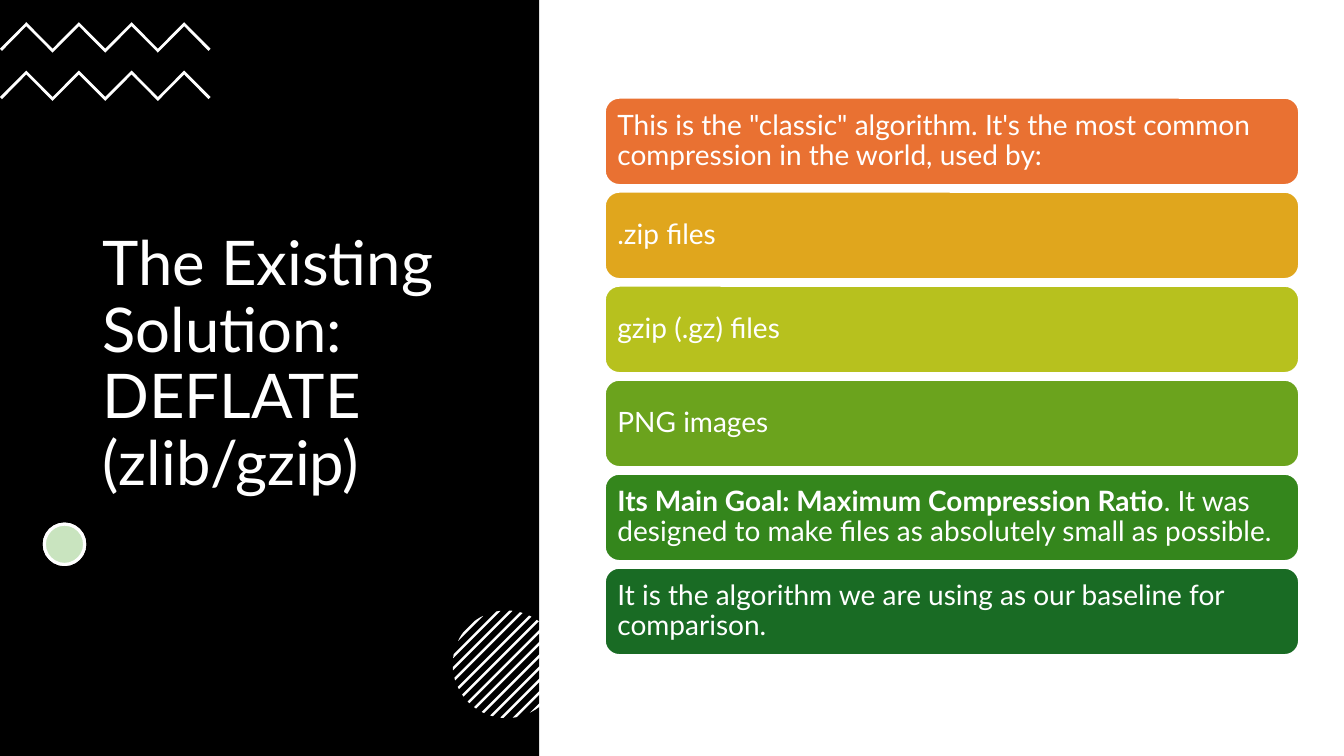
"""Build the slide on DEFLATE with a dark title panel and six cards."""
import math
import lxml.etree
import pptx
import pptx.util
import pptx.dml.color
import pptx.enum.shapes
import pptx.enum.text
import pptx.oxml.ns

Pt = pptx.util.Pt
KIND = pptx.enum.shapes.MSO_SHAPE
WHITE = "FFFFFF"


def paint(shape, fill, line=None, width=0):
    shape.shadow.inherit = False
    shape.fill.solid()
    shape.fill.fore_color.rgb = pptx.dml.color.RGBColor.from_string(fill)
    if line:
        shape.line.color.rgb = pptx.dml.color.RGBColor.from_string(line)
        shape.line.width = Pt(width)
    else:
        shape.line.fill.background()


def write(shape, parts, size):
    frame = shape.text_frame
    frame.word_wrap = True
    frame.vertical_anchor = pptx.enum.text.MSO_ANCHOR.MIDDLE
    para = frame.paragraphs[0]
    para.alignment = pptx.enum.text.PP_ALIGN.LEFT
    para.line_spacing = 0.9
    for text, bold in parts:
        run = para.add_run()
        run.text = text
        run.font.name = "Lato"
        run.font.size = Pt(size)
        run.font.bold = bold
        run.font.color.rgb = pptx.dml.color.RGBColor.from_string(WHITE)


deck = pptx.Presentation()
deck.slide_width, deck.slide_height = Pt(960), Pt(540)
slide = deck.slides.add_slide(deck.slide_layouts[6])
shapes = slide.shapes

panel = shapes.add_shape(KIND.RECTANGLE, 0, 0, Pt(385.2), Pt(540))
paint(panel, "000000")
title = shapes.add_textbox(Pt(66.2), Pt(94.3), Pt(252), Pt(333.4))
write(title, [("The Existing Solution: DEFLATE (zlib/gzip)", False)], 44)

outlines = []
for top in (15.9, 50.4):
    upper = [(18.8 * i, top + (0 if i % 2 else 18.9)) for i in range(9)]
    lower = [(x, y + 2.8) for x, y in upper[1:-1]]
    ends = [(1.4, top + 20.5), (149, top + 20.5)]
    outlines.append(upper + ends[1:] + lower[::-1] + ends[:1])

mid_x, mid_y, radius = 361.8, 474.5, 38.4
for i in range(-6, 7):
    side, back = [], []
    for step in range(5):
        shift = 8.75 * i - 1.25 + 0.625 * step
        angle = math.acos(shift / (math.sqrt(2) * radius))
        for edge, turn in ((side, angle), (back, -angle)):
            turn += math.pi / 4
            edge.append((mid_x + radius * math.cos(turn),
                         mid_y + radius * math.sin(turn)))
    outlines.append(side + back[::-1])

for points in outlines:
    spots = [(Pt(x), Pt(y)) for x, y in points]
    pen = shapes.build_freeform(*spots[0], scale=1.0)
    pen.add_line_segments(spots[1:], close=True)
    paint(pen.convert_to_shape(), WHITE)

for color in (WHITE, "4EA72E"):
    dot = shapes.add_shape(KIND.OVAL, Pt(31.7), Pt(374.4), Pt(28.8), Pt(28.8))
    paint(dot, color, WHITE, 2.25)
tint = dot.element.spPr.find(pptx.oxml.ns.qn("a:solidFill"))[0]
alpha = lxml.etree.SubElement(tint, pptx.oxml.ns.qn("a:alpha"))
alpha.set("val", "30000")

cards = [
    ("E97132", [("This is the \"classic\" algorithm. It's the most common "
                 "compression in the world, used by:", False)]),
    ("E0A61D", [(".zip files", False)]),
    ("B7C11E", [("gzip (.gz) files", False)]),
    ("6BA31D", [("PNG images", False)]),
    ("34861C", [("Its Main Goal: Maximum Compression Ratio", True),
                (". It was designed to make files as absolutely small "
                 "as possible.", False)]),
    ("196B24", [("It is the algorithm we are using as our baseline for "
                 "comparison.", False)]),
]
for row, (color, parts) in enumerate(cards):
    card = shapes.add_shape(KIND.ROUNDED_RECTANGLE, Pt(432), Pt(69.8 + 67.15 * row),
                            Pt(496), Pt(62.4))
    paint(card, color, WHITE, 1.5)
    frame = card.text_frame
    frame.margin_left = frame.margin_right = Pt(6)
    frame.margin_top = frame.margin_bottom = Pt(6)
    write(card, parts, 20)

deck.save("out.pptx")
